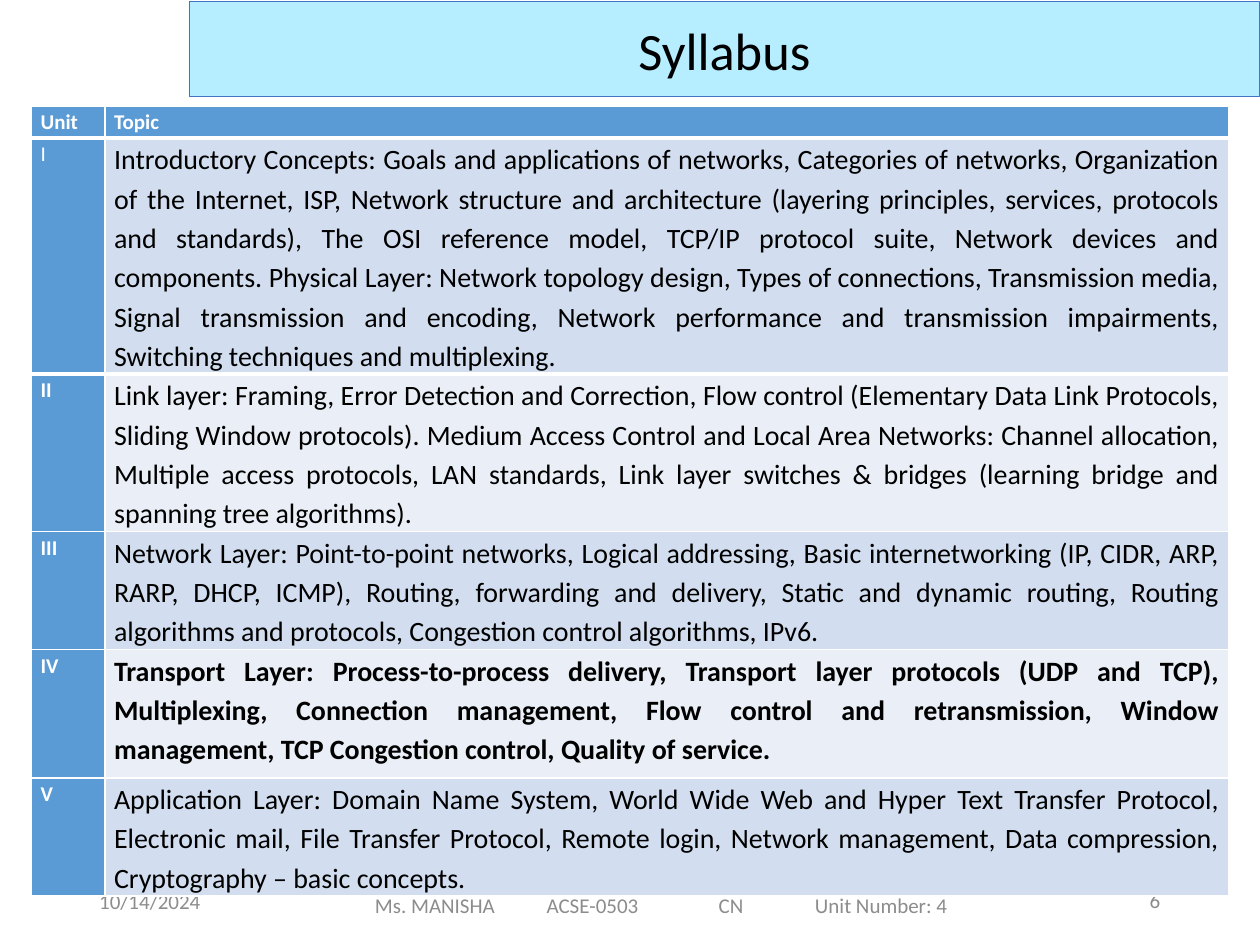
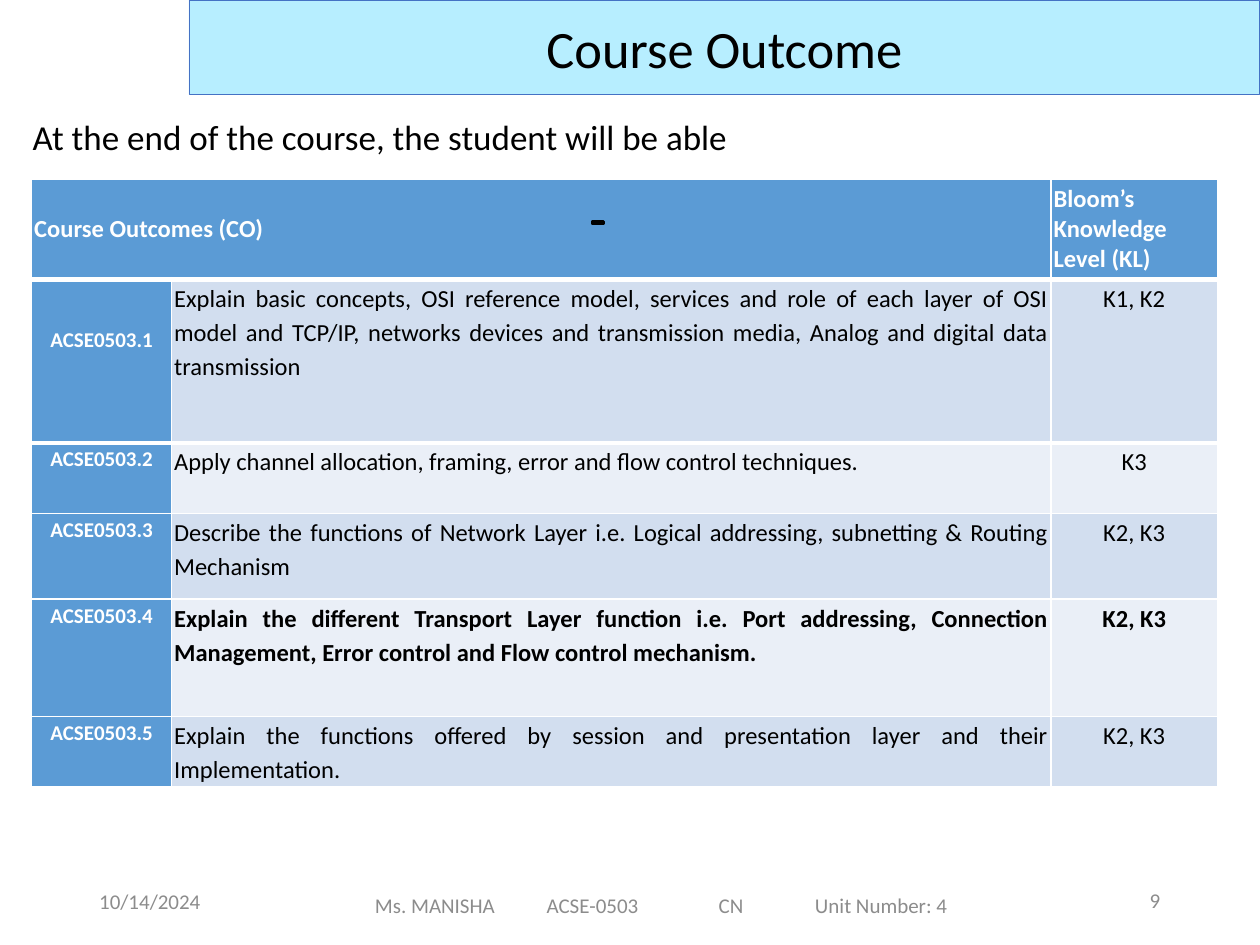
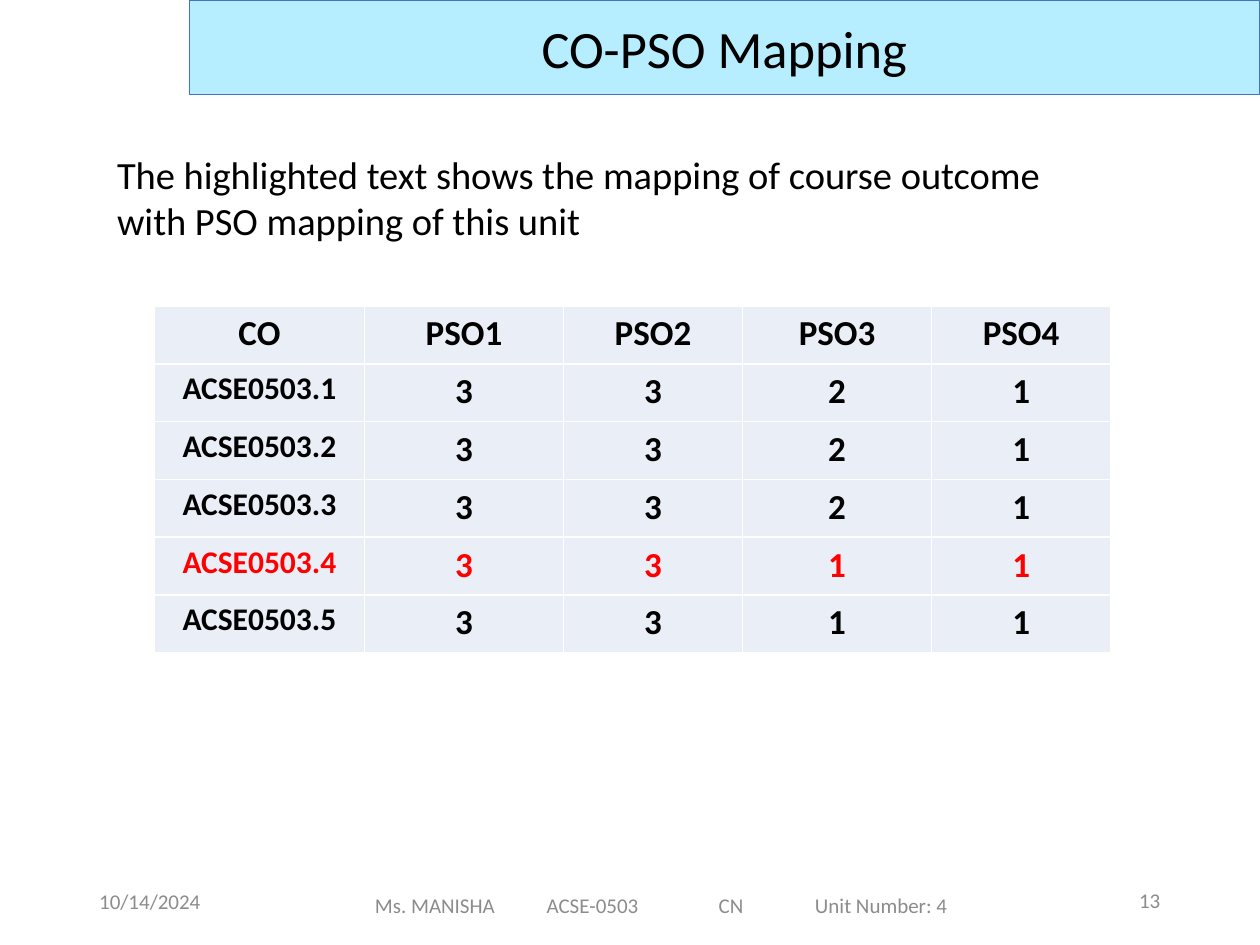
from dataclasses import dataclass

from lxml import etree
from pptx import Presentation
from pptx.dml.color import RGBColor
from pptx.enum.shapes import MSO_SHAPE
from pptx.enum.text import MSO_ANCHOR, MSO_AUTO_SIZE, PP_ALIGN
from pptx.oxml.ns import qn
from pptx.util import Cm, Pt

LEFT, CENTER, RIGHT, JUSTIFY = PP_ALIGN.LEFT, PP_ALIGN.CENTER, PP_ALIGN.RIGHT, PP_ALIGN.JUSTIFY
TOP, MIDDLE = MSO_ANCHOR.TOP, MSO_ANCHOR.MIDDLE
GROW = MSO_AUTO_SIZE.SHAPE_TO_FIT_TEXT
RECTANGLE = MSO_SHAPE.RECTANGLE


@dataclass(frozen=True)
class Theme:
    font: str = "Calibri"
    ink: str = "000000"
    paper: str = "FFFFFF"
    muted: str = "8C8C8C"
    alert: str = "FF0000"
    band: str = "B7EEFF"
    band_line: str = "4472C4"
    head_fill: str = "5B9BD5"
    row_dark: str = "D2DEEF"
    row_light: str = "EAEFF7"
    title: int = 30
    small: int = 12
    outcome: int = 14
    topic: int = 16
    code: int = 18
    score: int = 20
    head_rule: int = 3
    line_spacing: float = 1.15
    wide_inset: float = 0.18
    thin_inset: float = 0.05

    def row_fill(self, index):
        return self.row_light if index % 2 else self.row_dark


THEME = Theme()


@dataclass(frozen=True)
class Box:
    """A rectangle in centimetres."""
    left: float
    top: float
    width: float
    height: float

    def lengths(self):
        return Cm(self.left), Cm(self.top), Cm(self.width), Cm(self.height)


@dataclass(frozen=True)
class Cell:
    text: str
    size: int
    fill: str
    color: str = THEME.ink
    bold: bool = False
    align: PP_ALIGN = CENTER
    anchor: MSO_ANCHOR = TOP
    inset: float = THEME.wide_inset
    drop: float = 0
    spacing: float = THEME.line_spacing


PAGE = Box(0, 0, 25.4, 19.05)
TITLE_BOX = Box(3.81, 0, 21.59, 1.91)
DATE_BOX = Box(1.75, 17.65, 2.87, 1.02)
NUMBER_BOX = Box(22.07, 17.63, 1.57, 1.02)
COURSE_BOX = Box(6.35, 17.73, 13.97, 1.02)
COURSE_INSET = 1.21
COURSE_TABS = (3.46, 6.93, 8.87)
COURSE_PARTS = ("Ms. MANISHA", "ACSE-0503", "CN", "Unit Number: 4")
CURRENT_UNIT = 3

UNITS = (
    ("I", "Introductory Concepts: Goals and applications of networks, Categories of networks, "
     "Organization of the Internet, ISP, Network structure and architecture (layering principles, "
     "services, protocols and standards), The OSI reference model, TCP/IP protocol suite, Network "
     "devices and components. Physical Layer: Network topology design, Types of connections, "
     "Transmission media, Signal transmission and encoding, Network performance and transmission "
     "impairments, Switching techniques and multiplexing."),
    ("II", "Link layer: Framing, Error Detection and Correction, Flow control (Elementary Data Link "
     "Protocols, Sliding Window protocols). Medium Access Control and Local Area Networks: Channel "
     "allocation, Multiple access protocols, LAN standards, Link layer switches & bridges (learning "
     "bridge and spanning tree algorithms)."),
    ("III", "Network Layer: Point-to-point networks, Logical addressing, Basic internetworking (IP, "
     "CIDR, ARP, RARP, DHCP, ICMP), Routing, forwarding and delivery, Static and dynamic routing, "
     "Routing algorithms and protocols, Congestion control algorithms, IPv6."),
    ("IV", "Transport Layer: Process-to-process delivery, Transport layer protocols (UDP and TCP), "
     "Multiplexing, Connection management, Flow control and retransmission, Window management, TCP "
     "Congestion control, Quality of service."),
    ("V", "Application Layer: Domain Name System, World Wide Web and Hyper Text Transfer Protocol, "
     "Electronic mail, File Transfer Protocol, Remote login, Network management, Data compression, "
     "Cryptography – basic concepts."),
)

OUTCOMES = (
    ("Explain basic concepts, OSI reference model, services and role of each layer of OSI model and "
     "TCP/IP, networks devices and transmission media, Analog and digital data transmission", "K1, K2"),
    ("Apply channel allocation, framing, error and flow control techniques.", "K3"),
    ("Describe the functions of Network Layer i.e. Logical addressing, subnetting & Routing "
     "Mechanism", "K2, K3"),
    ("Explain the different Transport Layer function i.e. Port addressing, Connection Management, "
     "Error control and Flow control mechanism.", "K2, K3"),
    ("Explain the functions offered by session and presentation layer and their Implementation.",
     "K2, K3"),
)

PSO_SCORES = ("3321", "3321", "3321", "3311", "3311")


def outcome_code(index):
    return f"ACSE0503.{index + 1}"


def write(frame, text, size, color=THEME.ink, bold=False, align=LEFT):
    para = frame.paragraphs[0]
    para.alignment = align
    span = para.add_run()
    span.text = text
    span.font.name = THEME.font
    span.font.size = Pt(size)
    span.font.bold = bold
    span.font.color.rgb = RGBColor.from_string(color)
    return para


def add_text(page, box, text, size, color=THEME.ink, align=LEFT, anchor=MIDDLE, wrap=True):
    frame = page.shapes.add_textbox(*box.lengths()).text_frame
    frame.word_wrap = wrap
    frame.vertical_anchor = anchor
    write(frame, text, size, color, align=align)
    return frame


def add_lead(page, box, text, size, wrap=True):
    add_text(page, box, text, size, anchor=TOP, wrap=wrap).auto_size = GROW


def add_rectangle(page, box, line, weight, fill=None):
    shape = page.shapes.add_shape(RECTANGLE, *box.lengths())
    shape.shadow.inherit = False
    if fill:
        shape.fill.solid()
        shape.fill.fore_color.rgb = RGBColor.from_string(fill)
    else:
        shape.fill.background()
    shape.line.color.rgb = RGBColor.from_string(line)
    shape.line.width = Pt(weight)
    return shape


def add_title(page, box, text):
    frame = add_rectangle(page, box, THEME.band_line, 0.5, THEME.band).text_frame
    frame.word_wrap = True
    frame.vertical_anchor = MIDDLE
    write(frame, text, THEME.title, align=CENTER)


def set_tabs(para, stops):
    tab_list = etree.SubElement(para._p.get_or_add_pPr(), qn("a:tabLst"))
    for stop in stops:
        etree.SubElement(tab_list, qn("a:tab"), pos=str(Cm(stop)), algn="l")


def add_footer(page, number):
    add_text(page, DATE_BOX, "10/14/2024", THEME.small, THEME.muted)
    add_text(page, NUMBER_BOX, str(number), THEME.small, THEME.muted, RIGHT)
    course = add_text(page, COURSE_BOX, "\t".join(COURSE_PARTS), THEME.small, THEME.muted)
    course.margin_left = Cm(COURSE_INSET)
    set_tabs(course.paragraphs[0], COURSE_TABS)


def fill_cell(target, cell):
    target.fill.solid()
    target.fill.fore_color.rgb = RGBColor.from_string(cell.fill)
    target.margin_left = target.margin_right = Cm(cell.inset)
    target.margin_top, target.margin_bottom = Cm(cell.drop), 0
    target.vertical_anchor = cell.anchor
    if cell.text:
        para = write(target.text_frame, cell.text, cell.size, cell.color, cell.bold, cell.align)
        para.line_spacing = cell.spacing


def set_rule(row, edge):
    """Draw the heavy header rule on one edge of a row; call before filling its cells."""
    for target in row.cells:
        line = etree.SubElement(target._tc.get_or_add_tcPr(), qn(edge), w=str(Pt(THEME.head_rule)))
        solid = etree.SubElement(line, qn("a:solidFill"))
        etree.SubElement(solid, qn("a:srgbClr"), val=THEME.paper)


def add_grid(page, box, widths, heights, rows, header=True):
    frame = page.shapes.add_table(len(rows), len(widths), *box.lengths())
    table = frame.table
    table.first_row = header
    table.horz_banding = False
    for column, width in zip(table.columns, widths):
        column.width = Cm(width)
    for row, height in zip(table.rows, heights):
        row.height = Cm(height)
    if header:
        set_rule(table.rows[0], "a:lnB")
        set_rule(table.rows[1], "a:lnT")
    for row, cells in zip(table.rows, rows):
        for target, cell in zip(row.cells, cells):
            fill_cell(target, cell)
    return table


def add_syllabus_table(page, box):
    def label(text, bold=True, align=JUSTIFY):
        return Cell(text, THEME.small, THEME.head_fill, THEME.paper, bold, align)

    rows = [(label("Unit", align=LEFT), label("Topic", align=LEFT))]
    for index, (unit, topic) in enumerate(UNITS):
        rows.append((label(unit, bold=index > 0),
                     Cell(topic, THEME.topic, THEME.row_fill(index),
                          bold=index == CURRENT_UNIT, align=JUSTIFY)))
    unit_width = 1.48
    add_grid(page, box, (unit_width, box.width - unit_width),
             (0.64, 4.76, 3.17, 2.38, 2.59, 2.38), rows)


def add_outcome_table(page, box):
    def heading(text):
        return Cell(text, THEME.outcome, THEME.head_fill, THEME.paper, True, LEFT, MIDDLE,
                    THEME.thin_inset, spacing=1.0)

    rows = [(heading("Course Outcomes (CO)"), heading(""), heading("Bloom’s Knowledge Level (KL)"))]
    for index, (outcome, level) in enumerate(OUTCOMES):
        look = dict(size=THEME.outcome, fill=THEME.row_fill(index),
                    bold=index == CURRENT_UNIT, inset=THEME.thin_inset)
        rows.append((Cell(outcome_code(index), THEME.small, THEME.head_fill, THEME.paper, True,
                          drop=0 if index else 0.9),
                     Cell(outcome, align=JUSTIFY, **look),
                     Cell(level, **look)))
    table = add_grid(page, box, (2.82, 17.73, 3.35), (2.02, 3.3, 1.42, 1.73, 2.36, 1.42), rows)
    table.cell(0, 0).merge(table.cell(0, 1))
    add_rectangle(page, Box(box.left + 11.3, box.top + 0.86, 0.23, 0.05), THEME.ink, 1.42)


def add_mapping_table(page, box):
    def entry(text, size=THEME.score, color=THEME.ink):
        return Cell(text, size, THEME.row_light, color, True)

    rows = [[entry(text) for text in ("CO", "PSO1", "PSO2", "PSO3", "PSO4")]]
    for index, scores in enumerate(PSO_SCORES):
        color = THEME.alert if index == CURRENT_UNIT else THEME.ink
        rows.append([entry(outcome_code(index), THEME.code, color)]
                    + [entry(score, color=color) for score in scores])
    heights = [box.height / len(rows)] * len(rows)
    add_grid(page, box, (4.24, 4.01, 3.61, 3.81, 3.61), heights, rows, header=False)


def add_page(deck, title, number, title_box=TITLE_BOX):
    page = deck.slides.add_slide(deck.slide_layouts[6])
    add_title(page, title_box, title)
    add_footer(page, number)
    return page


def build_syllabus(deck):
    lowered = Box(TITLE_BOX.left, 0.04, TITLE_BOX.width, TITLE_BOX.height)
    page = add_page(deck, "Syllabus", 6, lowered)
    add_syllabus_table(page, Box(0.64, 2.14, 24.13, 15.92))


def build_outcomes(deck):
    page = add_page(deck, "Course Outcome", 9)
    add_lead(page, Box(0.41, 2.21, 14.66, 1.12),
             "At the end of the course, the student will be able", 20, wrap=False)
    add_outcome_table(page, Box(0.64, 3.61, 23.9, 12.25))


def build_mapping(deck):
    page = add_page(deck, "CO-PSO Mapping", 13)
    add_lead(page, Box(2.11, 2.92, 20.52, 2.13),
             "The highlighted text shows the mapping of course outcome "
             "with PSO mapping of this unit", 22)
    add_mapping_table(page, Box(3.11, 6.17, 19.28, 6.99))


def main():
    deck = Presentation()
    deck.slide_width, deck.slide_height = Cm(PAGE.width), Cm(PAGE.height)
    build_syllabus(deck)
    build_outcomes(deck)
    build_mapping(deck)
    deck.save("out.pptx")


if __name__ == "__main__":
    main()
